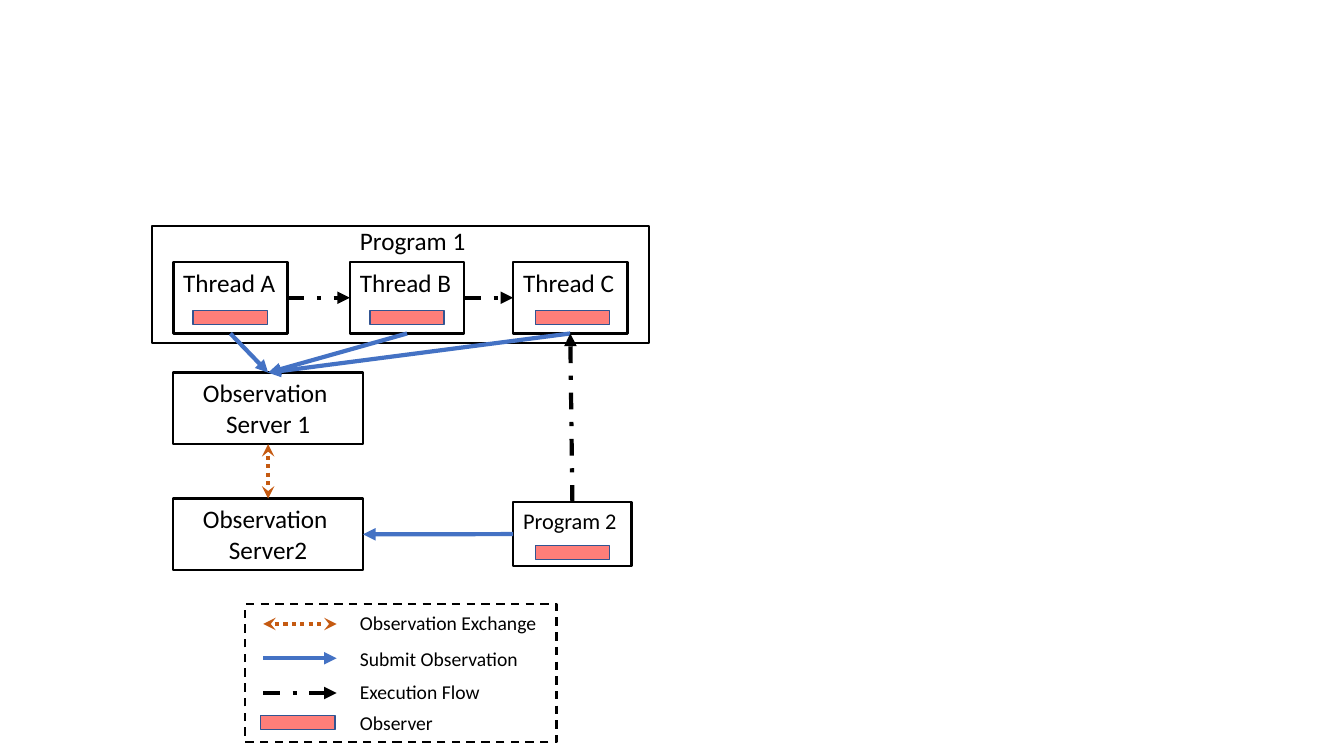
from dataclasses import dataclass

from lxml import etree
from pptx import Presentation
from pptx.dml.color import RGBColor
from pptx.enum.dml import MSO_LINE
from pptx.enum.shapes import MSO_CONNECTOR, MSO_SHAPE
from pptx.enum.text import MSO_ANCHOR, PP_ALIGN
from pptx.oxml.ns import qn
from pptx.util import Pt

RECTANGLE = MSO_SHAPE.RECTANGLE
STRAIGHT = MSO_CONNECTOR.STRAIGHT
LEFT, CENTER = PP_ALIGN.LEFT, PP_ALIGN.CENTER
TOP = MSO_ANCHOR.TOP
DASH, DASH_DOT, DOTTED = MSO_LINE.DASH, MSO_LINE.DASH_DOT, MSO_LINE.ROUND_DOT
TOP_SITE, LEFT_SITE, BOTTOM_SITE, RIGHT_SITE = range(4)


@dataclass(frozen=True)
class Theme:
    """Colours, font and type sizes of the diagram."""
    ink: RGBColor = RGBColor.from_string("000000")
    paper: RGBColor = RGBColor.from_string("FFFFFF")
    submit: RGBColor = RGBColor.from_string("4472C4")
    exchange: RGBColor = RGBColor.from_string("C55A11")
    observer: RGBColor = RGBColor.from_string("FF7E79")
    observer_edge: RGBColor = RGBColor.from_string("325491")
    font: str = "Calibri"
    large: int = 18
    medium: int = 16
    small: int = 14


THEME = Theme()
EXCHANGE = {"color": THEME.exchange, "dash": DOTTED,
            "ends": {"a:headEnd": "stealth", "a:tailEnd": "stealth"}}
SUBMIT = {"color": THEME.submit, "dash": None, "ends": {"a:tailEnd": "triangle"}}
FLOW = {"color": THEME.ink, "dash": DASH_DOT, "ends": {"a:tailEnd": "triangle"}}


def write_text(shape, lines, size, align=LEFT, wrap=True):
    """Fill a shape with one paragraph per line."""
    frame = shape.text_frame
    frame.text = "\n".join(lines)
    for name, value in {"word_wrap": wrap, "vertical_anchor": TOP}.items():
        setattr(frame, name, value)
    for paragraph in frame.paragraphs:
        paragraph.alignment = align
        font = paragraph.runs[0].font
        for name, value in {"name": THEME.font, "size": Pt(size)}.items():
            setattr(font, name, value)
        font.color.rgb = THEME.ink


def add_box(slide, left, top, width, height, weight=1.75, fill=None,
            edge=THEME.ink, dash=None):
    """Add an outlined rectangle, filled only when a colour is given."""
    shape = slide.shapes.add_shape(RECTANGLE, Pt(left), Pt(top), Pt(width), Pt(height))
    shape.shadow.inherit = False
    if fill is None:
        shape.fill.background()
    else:
        shape.fill.solid()
        shape.fill.fore_color.rgb = fill
    shape.line.color.rgb = edge
    for name, value in {"width": Pt(weight), "dash_style": dash}.items():
        setattr(shape.line, name, value)
    return shape


def add_observer(slide, left, top):
    """Add the small bar that marks an observer."""
    return add_box(slide, left, top, 53, 10, 1, THEME.observer, THEME.observer_edge)


def add_label(slide, text, left, top, width, height, size, wrap=True):
    """Add a plain text label."""
    label = slide.shapes.add_textbox(Pt(left), Pt(top), Pt(width), Pt(height))
    write_text(label, [text], size, wrap=wrap)


def add_arrow(slide, style, start=(0, 0), end=(0, 0)):
    """Add a straight arrow in one of the legend styles."""
    arrow = slide.shapes.add_connector(STRAIGHT, *(Pt(value) for value in (*start, *end)))
    arrow.line.color.rgb = style["color"]
    for name, value in {"width": Pt(3), "dash_style": style["dash"]}.items():
        setattr(arrow.line, name, value)
    properties = arrow.line._get_or_add_ln()
    for tag, kind in style["ends"].items():
        etree.SubElement(properties, qn(tag)).set("type", kind)
    etree.SubElement(properties.getparent(), qn("a:effectLst"))
    return arrow


def link(slide, style, source, source_site, target, target_site):
    """Join two boxes with an arrow glued to their sides."""
    arrow = add_arrow(slide, style)
    arrow.begin_connect(source, source_site)
    arrow.end_connect(target, target_site)


def add_server(slide, name, top):
    """Add a server box."""
    server = add_box(slide, 123.8, top, 135.5, 51, fill=THEME.paper)
    write_text(server, ["Observation ", name], THEME.large, CENTER)
    return server


def add_observed(slide, text, left, top, width, height, size, inset, drop):
    """Add a box with a caption and an observer inside it."""
    box = add_box(slide, left, top, width, height)
    write_text(box, [text], size)
    add_observer(slide, left + inset, top + drop)
    return box


def add_legend(slide):
    """Add the dashed key with a sample and a label per row."""
    add_box(slide, 175, 431.5, 222.5, 98.5, 1.5, dash=DASH)
    for style, middle in ((EXCHANGE, 445.7), (SUBMIT, 470.2), (FLOW, 495)):
        add_arrow(slide, style, (188, middle), (240.5, middle))
    add_observer(slide, 186.3, 511)
    for text, top in (("Observation Exchange", 433), ("Submit Observation", 458.5),
                      ("Execution Flow", 482.2), ("Observer", 504)):
        add_label(slide, text, 250, top, 147, 24.5, THEME.small)


def main():
    """Build the diagram slide and save it."""
    presentation = Presentation()
    presentation.slide_width, presentation.slide_height = Pt(960), Pt(540)
    slide = presentation.slides.add_slide(presentation.slide_layouts[6])

    add_box(slide, 108.5, 161.7, 355, 83.5, 1.5)
    add_label(slide, "Program 1", 250, 157.5, 90.5, 29, THEME.large, wrap=False)
    first_server = add_server(slide, "Server 1", 266.2)
    second_server = add_server(slide, "Server2", 356.2)
    threads = [add_observed(slide, f"Thread {letter}", left, 187.2, 81.5, 51,
                            THEME.large, inset, 34.6)
               for letter, left, inset in (("A", 123.8, 14.2), ("B", 250, 14.2),
                                           ("C", 366.6, 15.9))]
    second_program = add_observed(slide, "Program 2", 366.6, 358.5, 84.5, 46,
                                  THEME.medium, 15.9, 31)

    for source, target in zip(threads, threads[1:]):
        link(slide, FLOW, source, RIGHT_SITE, target, LEFT_SITE)
    for thread in threads:
        link(slide, SUBMIT, thread, BOTTOM_SITE, first_server, TOP_SITE)
    link(slide, FLOW, second_program, TOP_SITE, threads[-1], BOTTOM_SITE)
    link(slide, SUBMIT, second_program, LEFT_SITE, second_server, RIGHT_SITE)
    link(slide, EXCHANGE, first_server, BOTTOM_SITE, second_server, TOP_SITE)
    add_legend(slide)

    presentation.save("out.pptx")


if __name__ == "__main__":
    main()
